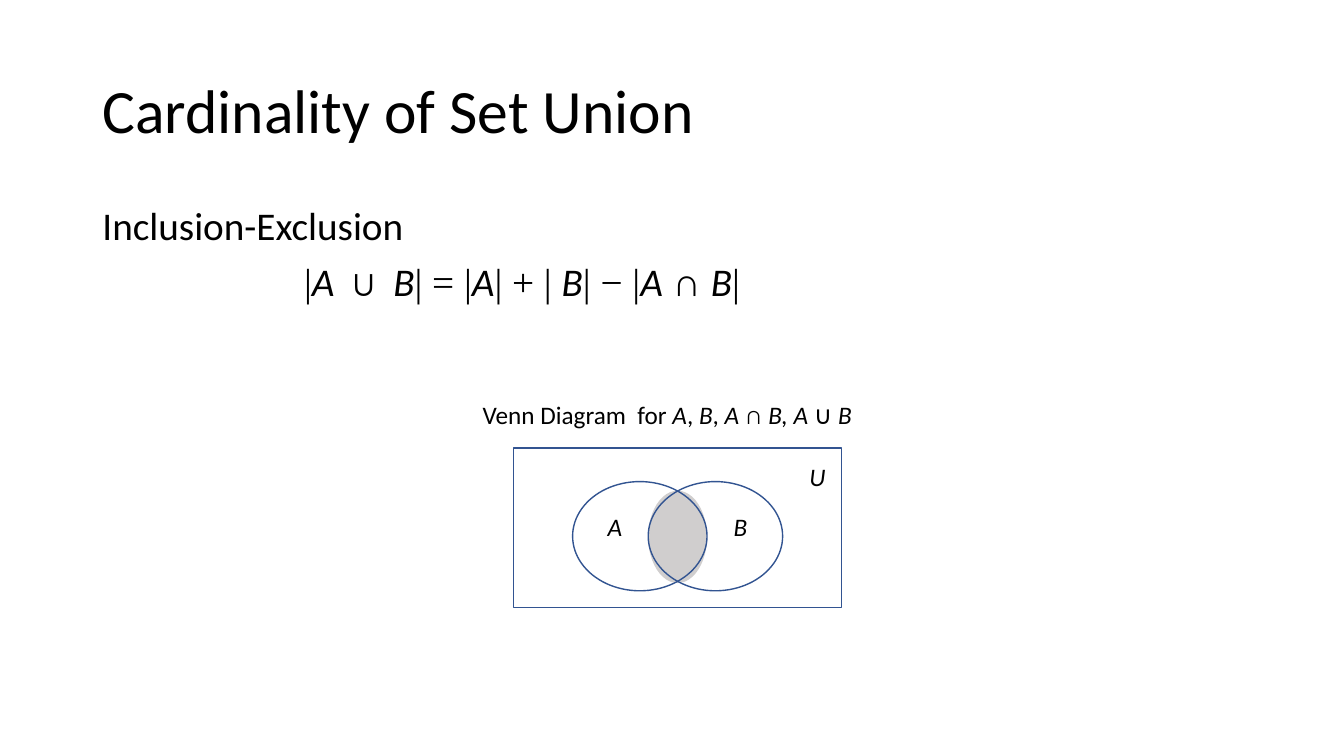
from dataclasses import dataclass

from lxml import etree
from pptx import Presentation
from pptx.dml.color import RGBColor
from pptx.enum.shapes import MSO_SHAPE
from pptx.enum.text import MSO_ANCHOR, MSO_AUTO_SIZE, PP_ALIGN
from pptx.oxml.ns import qn
from pptx.util import Pt

RECTANGLE = MSO_SHAPE.RECTANGLE
OVAL = MSO_SHAPE.OVAL
TOP = MSO_ANCHOR.TOP
MIDDLE = MSO_ANCHOR.MIDDLE
LEFT = PP_ALIGN.LEFT
NO_AUTOFIT = MSO_AUTO_SIZE.NONE


@dataclass(frozen=True)
class Theme:
    text: RGBColor = RGBColor(0x00, 0x00, 0x00)
    outline: RGBColor = RGBColor(0x32, 0x54, 0x91)
    overlap: RGBColor = RGBColor(0xD0, 0xCE, 0xCE)
    font: str = "Calibri"
    math_font: str = "Times New Roman"
    title_size: int = 44
    body_size: int = 28
    label_size: int = 18
    outline_width: int = 1


THEME = Theme()


def place(box, left, top, width, height):
    box.left, box.top, box.width, box.height = Pt(left), Pt(top), Pt(width), Pt(height)


def write(para, marked_text, size, upright_font=THEME.font):
    para.alignment = LEFT
    para.font.name = THEME.font
    para.font.size = Pt(size)
    para.font.color.rgb = THEME.text
    for index, piece in enumerate(marked_text.split("*")):
        if not piece:
            continue
        span = para.add_run()
        span.text = piece
        if index % 2:
            span.font.italic = True
        elif upright_font != THEME.font:
            span.font.name = upright_font


def remove_bullet(para, margin):
    properties = para._p.get_or_add_pPr()
    properties.set("marL", str(Pt(margin)))
    properties.set("indent", "0")
    etree.SubElement(properties, qn("a:buNone"))


def fill_title(box, text):
    place(box, 66, 28.75, 828, 104.4)
    frame = box.text_frame
    frame.auto_size = NO_AUTOFIT
    frame.vertical_anchor = MIDDLE
    para = frame.paragraphs[0]
    para.line_spacing = 0.9
    write(para, text, THEME.title_size)


def fill_body(box, lines):
    place(box, 66, 143.75, 828, 342.6)
    frame = box.text_frame
    frame.auto_size = NO_AUTOFIT
    frame.vertical_anchor = TOP
    for index, (text, margin, upright_font) in enumerate(lines):
        para = frame.add_paragraph() if index else frame.paragraphs[0]
        para.line_spacing = 0.9
        para.space_before = Pt(10)
        write(para, text, THEME.body_size, upright_font)
        remove_bullet(para, margin)


def add_outline(shapes, kind, left, top, width, height):
    shape = shapes.add_shape(kind, Pt(left), Pt(top), Pt(width), Pt(height))
    shape.shadow.inherit = False
    shape.fill.background()
    shape.line.color.rgb = THEME.outline
    shape.line.width = Pt(THEME.outline_width)
    return shape


def add_overlap(shapes, left, top, width, height):
    shape = add_outline(shapes, OVAL, left, top, width, height)
    shape.fill.solid()
    shape.fill.fore_color.rgb = THEME.overlap
    shape.line.fill.background()


def add_label(shapes, text, left, top, width):
    box = shapes.add_textbox(Pt(left), Pt(top), Pt(width), Pt(29))
    box.text_frame.word_wrap = True
    write(box.text_frame.paragraphs[0], text, THEME.label_size)


def add_venn_diagram(page):
    shapes = page.shapes.add_group_shape().shapes
    circle_left, circle_top, circle_width, circle_height = 409, 344, 96, 78
    step = 54
    add_overlap(shapes, circle_left + step, 350.5, circle_width - step, 66)
    add_outline(shapes, RECTANGLE, 367, 320, 234, 114)
    for index in range(2):
        add_outline(shapes, OVAL, circle_left + index * step, circle_top,
                    circle_width, circle_height)
    add_label(shapes, "*U*", 571, 326, 66)
    for index, name in enumerate("AB"):
        add_label(shapes, f"*{name}*", 427 + index * 90, 362, 30)


def main():
    deck = Presentation()
    deck.slide_width, deck.slide_height = Pt(960), Pt(540)
    page = deck.slides.add_slide(deck.slide_layouts[1])
    fill_title(page.shapes.title, "Cardinality of Set Union")
    fill_body(page.placeholders[1], [
        ("Inclusion-Exclusion", 0, THEME.font),
        ("|*A* ∪ *B*| = |*A*| + | *B*| − |*A* ∩ *B*|", 144, THEME.math_font),
    ])
    add_venn_diagram(page)
    add_label(page.shapes, "Venn Diagram  for *A*, *B*,* A* ∩ *B, A* ∪ *B*",
              337.7, 282, 312)
    deck.save("out.pptx")


if __name__ == "__main__":
    main()
